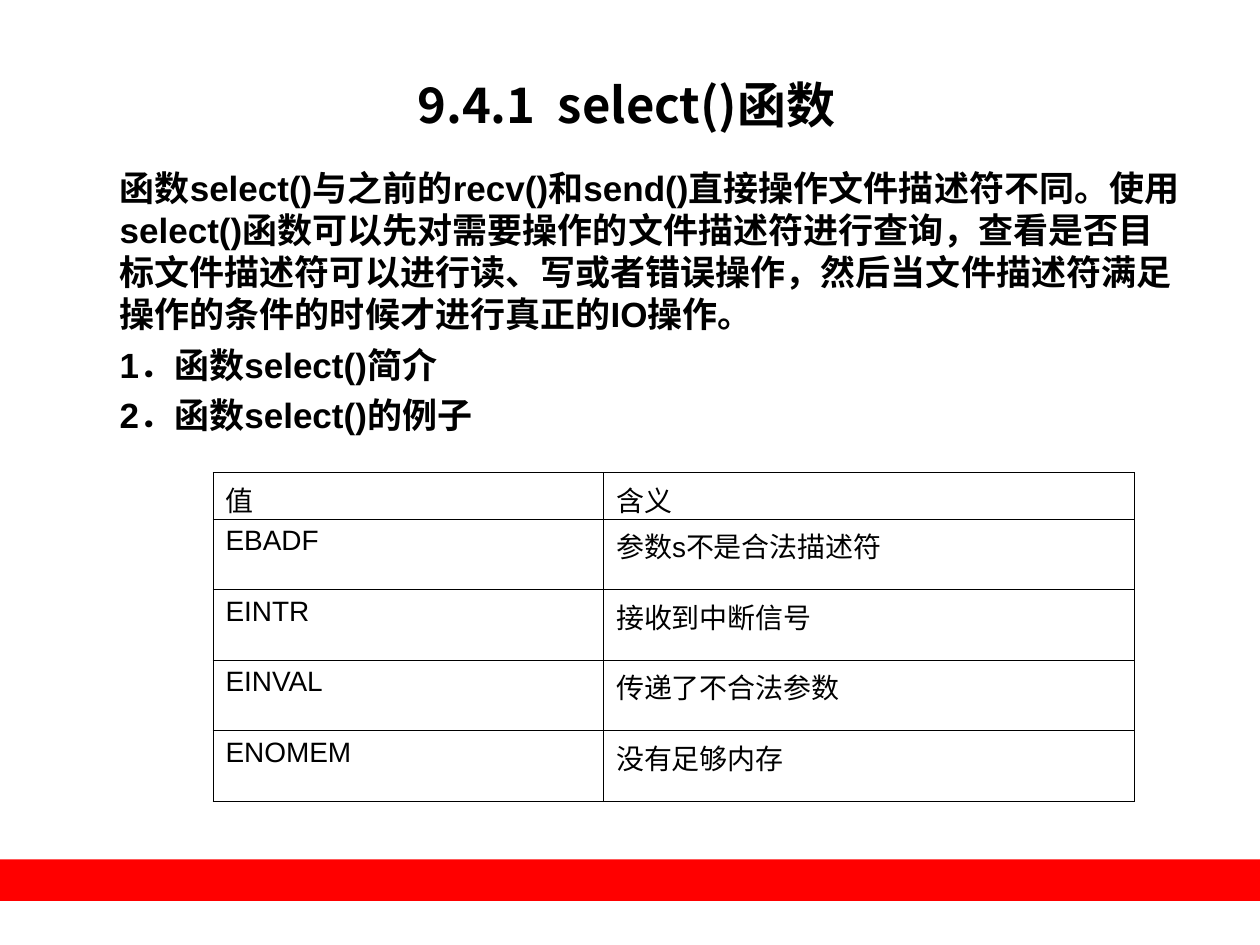
from lxml.etree import SubElement
from pptx import Presentation
from pptx.dml.color import RGBColor
from pptx.enum.shapes import MSO_SHAPE
from pptx.enum.text import MSO_ANCHOR, PP_ALIGN
from pptx.oxml.ns import qn
from pptx.util import Inches, Pt

CJK = "Noto Sans CJK SC"
INTRO = [
    "函数select()与之前的recv()和send()直接操作文件描述符不同。使用select()函数可以先对需要操作的"
    "文件描述符进行查询，查看是否目标文件描述符可以进行读、写或者错误操作，然后当文件描述符满足操作的"
    "条件的时候才进行真正的IO操作。",
    "1．函数select()简介",
    "2．函数select()的例子",
]
ERRORS = [
    (["值"], ["含义"]),
    (["EBADF"], ["参数", "s", "不是合法描述符"]),
    (["EINTR"], ["接收到中断信号"]),
    (["EINVAL"], ["传递了不合法参数"]),
    (["ENOMEM"], ["没有足够内存"]),
]


def color(value):
    """Return the colour for a hex string."""
    return RGBColor.from_string(value)


def add_run(p, text, size, font, bold=False):
    """Append a black run with Latin and East Asian fonts."""
    r = p.add_run()
    r.text = text
    for name, value in {"size": Pt(size), "name": font, "bold": bold}.items():
        setattr(r.font, name, value)
    r.font.color.rgb = color("000000")
    SubElement(r.font._element, qn("a:ea"), typeface=CJK)


def set_frame(tf):
    """Give a text frame thin margins, wrapping and a top anchor."""
    margins = {f"margin_{side}": Inches(0.01) for side in ("left", "top", "right", "bottom")}
    for name, value in {**margins, "word_wrap": True, "vertical_anchor": MSO_ANCHOR.TOP}.items():
        setattr(tf, name, value)


def add_band(s, box):
    """Draw the red footer band."""
    sp = s.shapes.add_shape(MSO_SHAPE.RECTANGLE, *map(Inches, box))
    sp.shadow.inherit = False
    sp.fill.solid()
    sp.fill.fore_color.rgb = color("FF0000")
    sp.line.fill.background()


def add_title(s, box):
    """Place and format the title placeholder."""
    sp = s.shapes.title
    for name, value in zip(("left", "top", "width", "height"), box):
        setattr(sp, name, Inches(value))
    set_frame(sp.text_frame)
    p = sp.text_frame.paragraphs[0]
    p.alignment = PP_ALIGN.CENTER
    add_run(p, "9.4.1  select()函数", 28, CJK, True)


def add_intro(s, box):
    """Write the introduction and its two topics."""
    tf = s.shapes.add_textbox(*map(Inches, box)).text_frame
    set_frame(tf)
    for i, text in enumerate(INTRO):
        p = tf.add_paragraph() if i else tf.paragraphs[0]
        p.line_spacing = Pt(24)
        p.space_before = Pt(5 if i else 0)
        add_run(p, text, 20, "Arial", True)


def set_borders(cell):
    """Draw thin black lines on all sides of a cell."""
    tcPr = cell._tc.get_or_add_tcPr()
    for i, side in enumerate(("lnL", "lnR", "lnT", "lnB")):
        ln = SubElement(tcPr, qn(f"a:{side}"), w=str(Pt(0.45)))
        fill = SubElement(ln, qn("a:solidFill"))
        SubElement(fill, qn("a:srgbClr"), val="000000")
        tcPr.remove(ln)
        tcPr.insert(i, ln)


def add_errors(s, box):
    """Build the table of error values and meanings."""
    table = s.shapes.add_table(len(ERRORS), 2, *map(Inches, box)).table
    table.first_row = table.horz_banding = False
    for column, width in zip(table.columns, (3.1, 4.21)):
        column.width = Inches(width)
    for i, row in enumerate(ERRORS):
        table.rows[i].height = Inches(0.56 if i else 0.37)
        for j, texts in enumerate(row):
            cell = table.cell(i, j)
            cell.fill.background()
            set_borders(cell)
            for text in texts:
                font = "Arial" if text.isascii() else "Times New Roman"
                add_run(cell.text_frame.paragraphs[0], text, 16, font)


def main():
    """Build and save the slide."""
    prs = Presentation()
    prs.slide_width, prs.slide_height = Inches(10), Inches(7.5)
    s = prs.slides.add_slide(prs.slide_layouts[5])
    add_band(s, (0, 6.82, 10, 0.33))
    add_title(s, (0.97, 0.58, 8, 0.96))
    add_intro(s, (0.94, 1.31, 8.47, 2.17))
    add_errors(s, (1.69, 3.75, 7.31, 2.61))
    prs.save("out.pptx")


if __name__ == "__main__":
    main()
